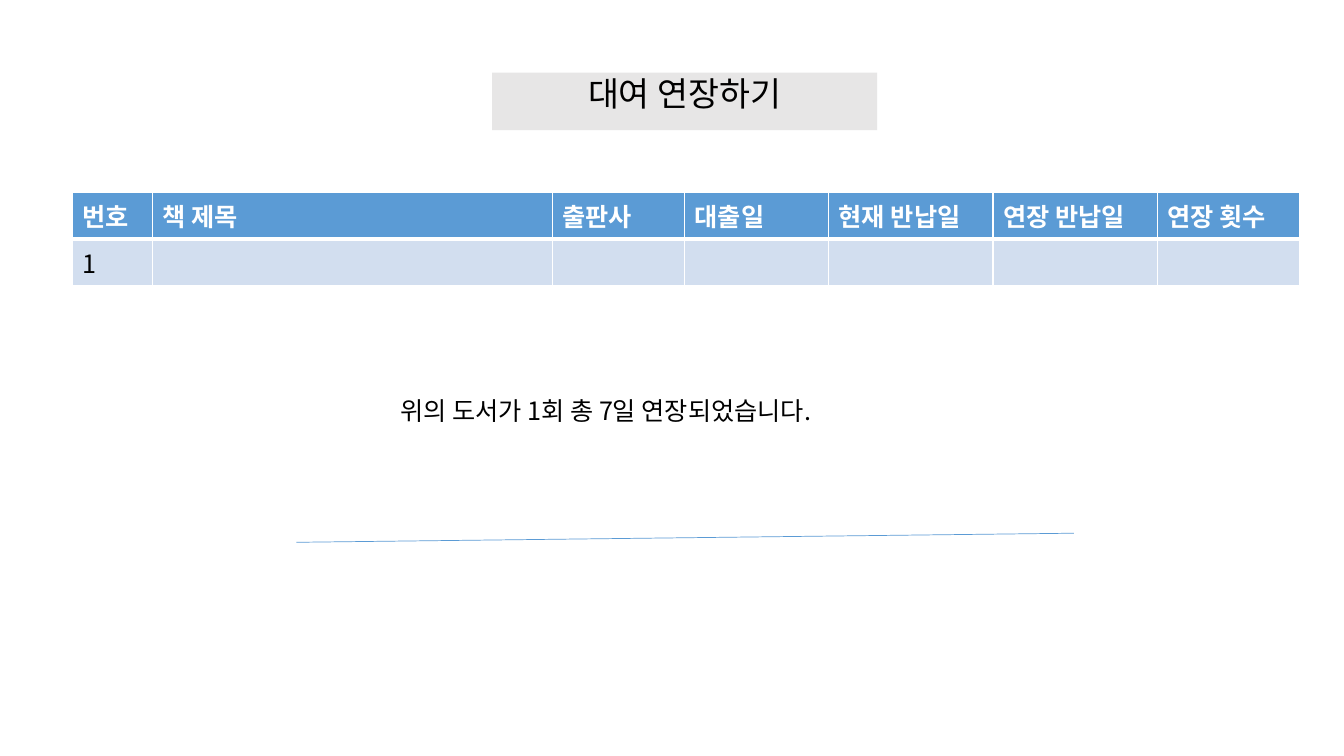
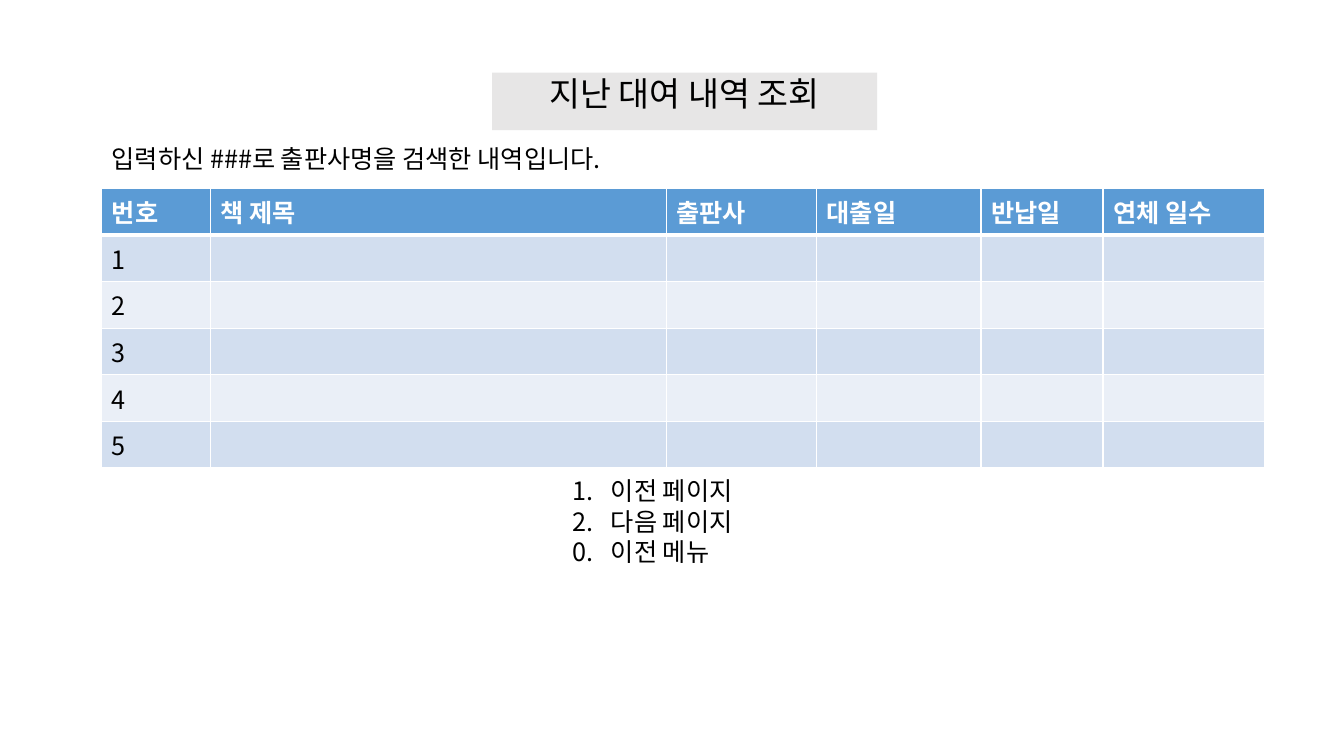
from dataclasses import dataclass

from lxml import etree
from pptx import Presentation
from pptx.dml.color import RGBColor
from pptx.enum.shapes import MSO_CONNECTOR
from pptx.enum.text import MSO_ANCHOR, MSO_AUTO_SIZE, PP_ALIGN
from pptx.oxml.ns import qn
from pptx.slide import Slide
from pptx.table import _Cell
from pptx.text.text import TextFrame, _Paragraph
from pptx.util import Inches, Pt

BLACK = RGBColor(0x00, 0x00, 0x00)
WHITE = RGBColor(0xFF, 0xFF, 0xFF)
TITLE_GRAY = RGBColor(0xE7, 0xE6, 0xE6)
BLUE = RGBColor(0x5B, 0x9B, 0xD5)
BAND_DARK = RGBColor(0xD2, 0xDE, 0xEF)
BAND_LIGHT = RGBColor(0xEA, 0xEF, 0xF7)

FONT = "Noto Sans CJK KR"
TITLE_SIZE = 24
BODY_SIZE = 18
HEADER_HEIGHT = 0.3
ROW_HEIGHT = 0.41
MENU_INDENT = 0.38
THIN, THICK = 1, 3

CENTER = PP_ALIGN.CENTER
TOP = MSO_ANCHOR.TOP
FIXED_SIZE = MSO_AUTO_SIZE.NONE
GROW = MSO_AUTO_SIZE.SHAPE_TO_FIT_TEXT
STRAIGHT = MSO_CONNECTOR.STRAIGHT


@dataclass(frozen=True)
class Column:
    header: str
    width: float


@dataclass(frozen=True)
class BookTable:
    left: float
    top: float
    columns: tuple[Column, ...]
    books: int


EXTENSION_TABLE = BookTable(0.72, 1.91, (
    Column("번호", 0.79),
    Column("책 제목", 3.97),
    Column("출판사", 1.31),
    Column("대출일", 1.43),
    Column("현재 반납일", 1.63),
    Column("연장 반납일", 1.63),
    Column("연장 횟수", 1.41),
), books=1)

HISTORY_TABLE = BookTable(1.01, 1.87, (
    Column("번호", 1.08),
    Column("책 제목", 4.52),
    Column("출판사", 1.49),
    Column("대출일", 1.63),
    Column("반납일", 1.21),
    Column("연체 일수", 1.6),
), books=5)


def add_text(paragraph: _Paragraph, text: str, size: int = BODY_SIZE,
             color: RGBColor = BLACK, bold: bool = False) -> None:
    run = paragraph.add_run()
    run.text = text
    run.font.size = Pt(size)
    run.font.bold = bold
    run.font.name = FONT
    run.font.color.rgb = color
    east_asian = etree.Element(qn("a:ea"), typeface=FONT)
    run.font._element.find(qn("a:latin")).addnext(east_asian)


def add_titled_slide(deck: Presentation, title: str) -> Slide:
    slide = deck.slides.add_slide(deck.slide_layouts[5])
    band = slide.shapes.title
    band.left, band.top = Inches(4.88), Inches(0.72)
    band.width, band.height = Inches(3.82), Inches(0.57)
    band.fill.solid()
    band.fill.fore_color.rgb = TITLE_GRAY
    frame = band.text_frame
    frame.auto_size = FIXED_SIZE
    frame.vertical_anchor = TOP
    heading = frame.paragraphs[0]
    heading.alignment = CENTER
    heading.line_spacing = 0.9
    add_text(heading, title, TITLE_SIZE)
    return slide


def add_text_box(slide: Slide, left: float, top: float, width: float,
                 height: float) -> TextFrame:
    box = slide.shapes.add_textbox(Inches(left), Inches(top), Inches(width), Inches(height))
    box.text_frame.word_wrap = True
    box.text_frame.auto_size = GROW
    return box.text_frame


def add_sentence(slide: Slide, left: float, top: float, width: float, text: str) -> None:
    add_text(add_text_box(slide, left, top, width, 0.4).paragraphs[0], text)


def style_cell(cell: _Cell, fill: RGBColor, top: int, bottom: int) -> None:
    properties = cell._tc.get_or_add_tcPr()
    for side, width in (("L", THIN), ("R", THIN), ("T", top), ("B", bottom)):
        border = etree.SubElement(properties, qn(f"a:ln{side}"), w=str(Pt(width)))
        solid = etree.SubElement(border, qn("a:solidFill"))
        etree.SubElement(solid, qn("a:srgbClr"), val=str(WHITE))
    cell.fill.solid()
    cell.fill.fore_color.rgb = fill


def add_book_table(slide: Slide, content: BookTable) -> None:
    width = sum(column.width for column in content.columns)
    height = HEADER_HEIGHT + ROW_HEIGHT * content.books
    table = slide.shapes.add_table(
        content.books + 1, len(content.columns), Inches(content.left),
        Inches(content.top), Inches(width), Inches(height)).table
    table.rows[0].height = Inches(HEADER_HEIGHT)
    for index, column in enumerate(content.columns):
        table.columns[index].width = Inches(column.width)
        header = table.cell(0, index)
        style_cell(header, BLUE, THIN, THICK)
        add_text(header.text_frame.paragraphs[0], column.header, color=WHITE, bold=True)
    for number in range(1, content.books + 1):
        table.rows[number].height = Inches(ROW_HEIGHT)
        band = BAND_DARK if number % 2 else BAND_LIGHT
        for index in range(len(content.columns)):
            style_cell(table.cell(number, index), band, THICK if number == 1 else THIN, THIN)
        add_text(table.cell(number, 0).text_frame.paragraphs[0], str(number))


def add_divider(slide: Slide) -> None:
    divider = slide.shapes.add_connector(
        STRAIGHT, Inches(2.94), Inches(5.38), Inches(10.65), Inches(5.29))
    divider.line.color.rgb = BLUE
    divider.line.width = Pt(0.5)
    etree.SubElement(divider._element.spPr, qn("a:effectLst"))


def add_page_menu(slide: Slide) -> None:
    frame = add_text_box(slide, 5.58, 4.67, 3.12, 1.01)
    indent = str(Inches(MENU_INDENT))
    for index, choice in enumerate(("이전 페이지", "다음 페이지")):
        paragraph = frame.add_paragraph() if index else frame.paragraphs[0]
        properties = paragraph._p.get_or_add_pPr()
        properties.set("marL", indent)
        properties.set("indent", f"-{indent}")
        etree.SubElement(properties, qn("a:buFont"), typeface="+mj-lt")
        etree.SubElement(properties, qn("a:buAutoNum"), type="arabicPeriod")
        add_text(paragraph, choice)
    back = frame.add_paragraph()
    stops = etree.SubElement(back._p.get_or_add_pPr(), qn("a:tabLst"))
    etree.SubElement(stops, qn("a:tab"), pos=indent, algn="l")
    add_text(back, "0.\t이전 메뉴")


def build_extension_slide(deck: Presentation) -> None:
    slide = add_titled_slide(deck, "대여 연장하기")
    add_divider(slide)
    add_book_table(slide, EXTENSION_TABLE)
    add_sentence(slide, 3.87, 3.87, 5.85, "위의 도서가 1회 총 7일 연장되었습니다.")


def build_history_slide(deck: Presentation) -> None:
    slide = add_titled_slide(deck, "지난 대여 내역 조회")
    add_book_table(slide, HISTORY_TABLE)
    add_page_menu(slide)
    add_sentence(slide, 1.01, 1.37, 6.13, "입력하신 ###로 출판사명을 검색한 내역입니다.")


def main() -> None:
    deck = Presentation()
    deck.slide_width, deck.slide_height = Inches(13.33), Inches(7.5)
    build_extension_slide(deck)
    build_history_slide(deck)
    deck.save("out.pptx")


if __name__ == "__main__":
    main()
